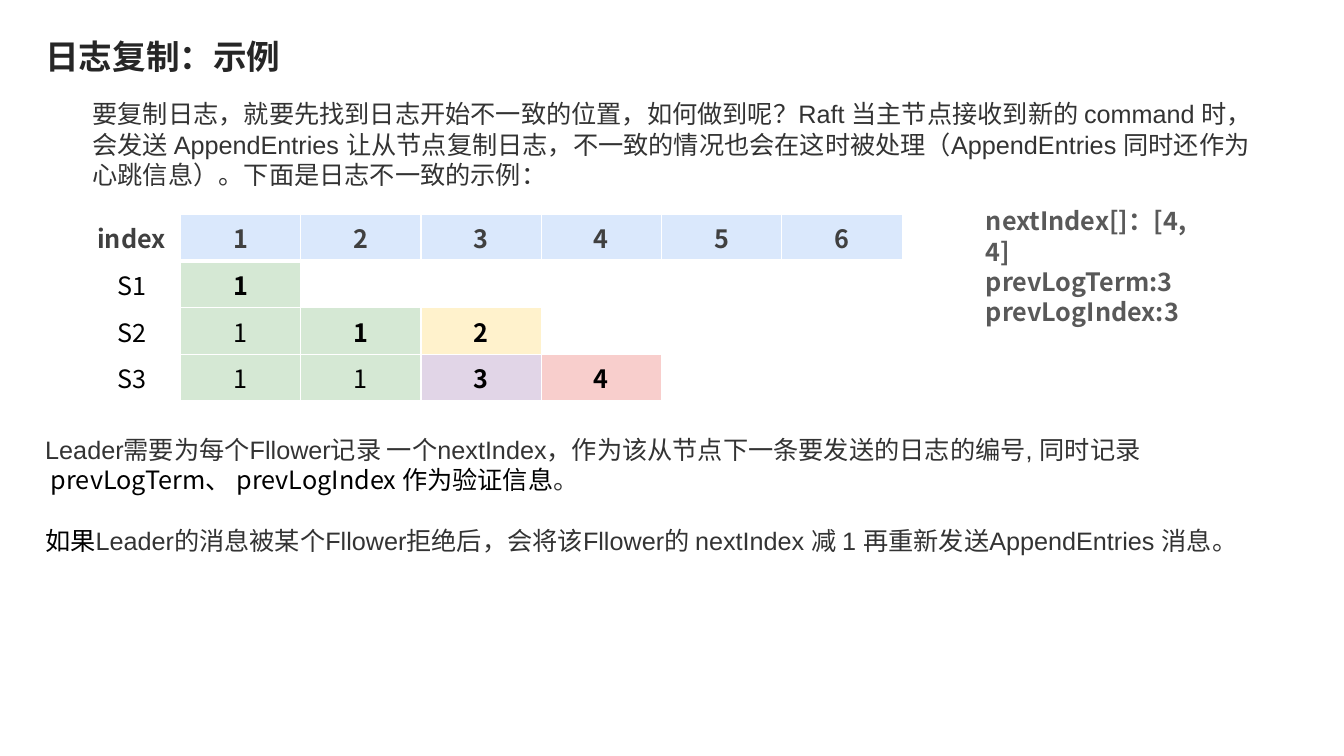
"""Build the Raft log replication example slide."""
from lxml import etree
from pptx import Presentation
from pptx.dml.color import RGBColor
from pptx.enum.text import PP_ALIGN
from pptx.oxml.ns import qn
from pptx.util import Inches, Pt

CENTER = PP_ALIGN.CENTER
SANS, ARIAL, SLAB = "Noto Sans CJK SC", "Arial", "Roboto Slab"
WHITE = RGBColor(0xFF, 0xFF, 0xFF)
BLACK = RGBColor(0x00, 0x00, 0x00)
TITLE_GRAY = RGBColor(0x26, 0x26, 0x26)
BODY_GRAY = RGBColor(0x33, 0x33, 0x33)
HEADER_GRAY = RGBColor(0x40, 0x40, 0x40)
STATE_GRAY = RGBColor(0x59, 0x59, 0x59)
BLUE = RGBColor(0xDA, 0xE8, 0xFC)
TERM_FILLS = {
    1: RGBColor(0xD5, 0xE8, 0xD4),
    2: RGBColor(0xFF, 0xF2, 0xCC),
    3: RGBColor(0xE1, 0xD5, 0xE7),
    4: RGBColor(0xF8, 0xCE, 0xCC),
}
INDEX_COUNT = 6
LOGS = {"S1": [(1, True)],
        "S2": [(1, False), (1, True), (2, True)],
        "S3": [(1, False), (1, False), (3, True), (4, True)]}

INTRO = ("要复制日志，就要先找到日志开始不一致的位置，如何做到呢？Raft 当主节点接收到新的 command 时，"
         "会发送 AppendEntries 让从节点复制日志，不一致的情况也会在这时被处理"
         "（AppendEntries 同时还作为心跳信息）。下面是日志不一致的示例：")
NEXT_INDEX = "Leader需要为每个Fllower记录 一个nextIndex，作为该从节点下一条要发送的日志的编号, 同时记录"
REJECTED = "Leader的消息被某个Fllower拒绝后，会将该Fllower的 nextIndex 减 1 再重新发送AppendEntries 消息。"


def style_span(span, font, color, bold=False, size=18):
    """Give a run its fonts, colour, weight and size."""
    span.font.size = Pt(size)
    span.font.bold = bold
    span.font.color.rgb = color
    span.font.name = font
    east_asian = etree.SubElement(span._r.get_or_add_rPr(), qn("a:ea"))
    east_asian.set("typeface", SANS)


def add_text(page, left, top, width, height, paragraphs, wrap=True):
    """Add a text box from paragraphs of (text, style) spans."""
    box = page.shapes.add_textbox(Inches(left), Inches(top), Inches(width), Inches(height))
    frame = box.text_frame
    frame.word_wrap = wrap
    for number, spans in enumerate(paragraphs):
        para = frame.add_paragraph() if number else frame.paragraphs[0]
        for text, style in spans:
            span = para.add_run()
            span.text = text
            style_span(span, **style)
    return frame


def set_borders(cell, bottom):
    """Draw white cell borders with the given bottom width."""
    properties = cell._tc.get_or_add_tcPr()
    for position, (side, width) in enumerate((("L", 1), ("R", 1), ("T", 1), ("B", bottom))):
        line = etree.Element(qn(f"a:ln{side}"), w=str(Pt(width)))
        fill = etree.SubElement(line, qn("a:solidFill"))
        etree.SubElement(fill, qn("a:srgbClr"), val=str(WHITE))
        properties.insert(position, line)


def fill_cell(cell, text, fill, color=BLACK, bold=False, bottom=1):
    """Fill one log cell and centre its text."""
    cell.fill.solid()
    cell.fill.fore_color.rgb = fill
    set_borders(cell, bottom)
    if text:
        para = cell.text_frame.paragraphs[0]
        para.text = text
        para.alignment = CENTER
        style_span(para.runs[0], SANS, color, bold)


def add_log_table(page):
    """Add the table of log terms per server and index."""
    frame = page.shapes.add_table(len(LOGS) + 1, INDEX_COUNT + 1, Inches(0.82),
                                  Inches(2.13), Inches(8.13), Inches(1.62))
    table = frame.table
    table.first_row = table.horz_banding = False
    for number, column in enumerate(table.columns):
        column.width = Inches(1.193 if number else 0.97)
    for index in range(INDEX_COUNT + 1):
        fill_cell(table.cell(0, index), str(index) if index else "index",
                  BLUE if index else WHITE, HEADER_GRAY, True, bottom=3)
    for row, (server, entries) in enumerate(LOGS.items(), start=1):
        fill_cell(table.cell(row, 0), server, WHITE)
        for index in range(1, INDEX_COUNT + 1):
            cell = table.cell(row, index)
            if index <= len(entries):
                term, bold = entries[index - 1]
                fill_cell(cell, str(term), TERM_FILLS[term], bold=bold)
            else:
                fill_cell(cell, "", WHITE)


def main():
    """Build and save the slide."""
    deck = Presentation()
    deck.slide_width, deck.slide_height = Inches(13.33), Inches(7.5)
    page = deck.slides.add_slide(deck.slide_layouts[6])
    title = {"font": SLAB, "color": TITLE_GRAY, "bold": True, "size": 24}
    body = {"font": ARIAL, "color": BODY_GRAY}
    term = {"font": SANS, "color": BLACK}
    state = {"font": SANS, "color": STATE_GRAY, "bold": True}

    add_log_table(page)
    state_lines = ("nextIndex[]：[4, 4]", "prevLogTerm:3", "prevLogIndex:3")
    add_text(page, 9.68, 1.99, 2.34, 1.01, [[(line, state)] for line in state_lines])
    add_text(page, 0.82, 0.93, 11.8, 1.01, [[(INTRO, body)]])
    notes = add_text(page, 0.35, 4.26, 12.39, 1.31, [
        [(NEXT_INDEX, body)],
        [(" prevLogTerm、 prevLogIndex 作为验证信息", term), ("。", body)],
        [("如果", term), (REJECTED, body)],
    ])
    notes.paragraphs[-1].space_before = Pt(21.5)
    add_text(page, 0.35, 0.31, 2.56, 0.5, [[("日志复制：示例", title)]], wrap=False)
    deck.save("out.pptx")


if __name__ == "__main__":
    main()
